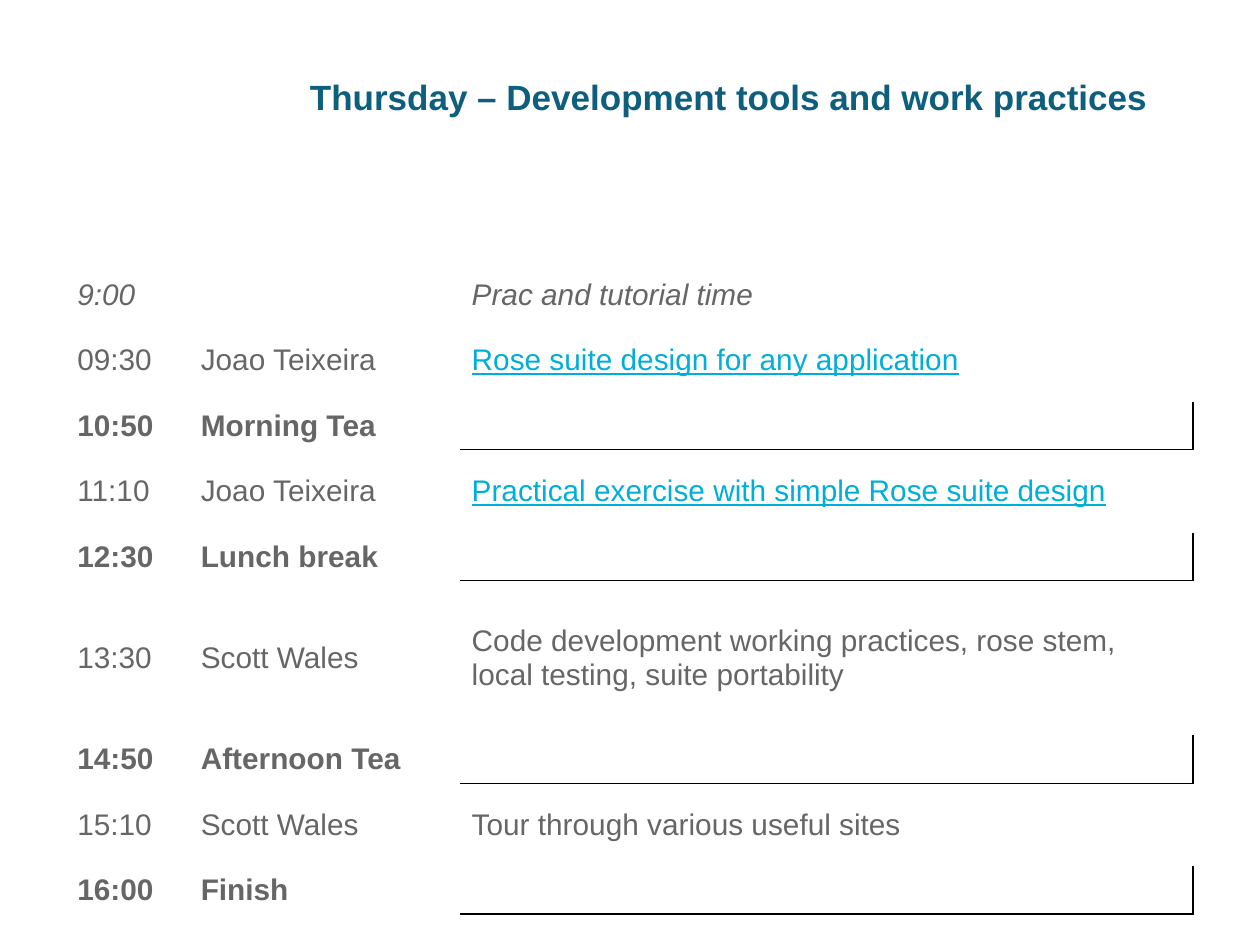
from lxml.etree import SubElement as Sub
from pptx import Presentation
from pptx.dml.color import RGBColor
from pptx.enum.text import MSO_ANCHOR as Anchor
from pptx.oxml.ns import qn
from pptx.util import Pt

TEAL = RGBColor(0x0E, 0x5F, 0x7E)
GREY = RGBColor(0x66, 0x66, 0x66)
CYAN = RGBColor(0x00, 0xAF, 0xD7)
WHITE = RGBColor(0xFF, 0xFF, 0xFF)
PLAIN = "{2D5ABB26-0587-4C30-8999-92F81FD0307C}"

ROWS = [
    ("9:00", "", "Prac and tutorial time", "early"),
    ("09:30", "Joao Teixeira", "Rose suite design for any application", "link"),
    ("10:50", "Morning Tea", "", "break"),
    ("11:10", "Joao Teixeira", "Practical exercise with simple Rose suite design", "link"),
    ("12:30", "Lunch break", "", "break"),
    ("13:30", "Scott Wales", "Code development working practices, rose stem, "
     "local testing, suite portability", "long"),
    ("14:50", "Afternoon Tea", "", "break"),
    ("15:10", "Scott Wales", "Tour through various useful sites", "talk"),
    ("16:00", "Finish", "", "break"),
]
HIGH = {"early": 27.4, "break": 27.4, "link": 47.4, "talk": 47.4, "long": 88.5}
LOOK = {"early": {"italic": True}, "break": {"bold": True}}


def write(frame, text, size, color, **look):
    run = frame.paragraphs[0].add_run()
    run.text = text
    run.font.color.rgb = color
    for key, val in {"name": "Arial", "size": Pt(size), **look}.items():
        setattr(run.font, key, val)


def edge(cell, side):
    line = Sub(cell._tc.get_or_add_tcPr(), qn("a:" + side), w=str(Pt(1)))
    fill = Sub(line, qn("a:solidFill"))
    Sub(fill, qn("a:srgbClr"), val="000000")


prs = Presentation()
prs.slide_width, prs.slide_height = Pt(720), Pt(540)
slide = prs.slides.add_slide(prs.slide_layouts[6])

title = slide.shapes.add_textbox(Pt(170), Pt(21.6), Pt(514), Pt(90)).text_frame
form = {"word_wrap": True, "vertical_anchor": Anchor.MIDDLE, "margin_bottom": Pt(26.6)}
for key, val in form.items():
    setattr(title, key, val)
write(title, "Thursday – Development tools and work practices", 20, TEAL, bold=True)

wide = [70.6, 154.8, 419]
tall = [HIGH[row[-1]] for row in ROWS]
grid = slide.shapes.add_table(
    len(ROWS), len(wide), Pt(37.4), Pt(154.8), Pt(sum(wide)), Pt(sum(tall))).table
grid.first_row = grid.horz_banding = False
grid._tbl.tblPr.find(qn("a:tableStyleId")).text = PLAIN
for col, size in zip(grid.columns, wide):
    col.width = Pt(size)

for r, (*texts, kind) in enumerate(ROWS):
    grid.rows[r].height = Pt(tall[r])
    for c, text in enumerate(texts):
        cell = grid.cell(r, c)
        if kind == "break" and c == 2:
            edge(cell, "lnR")
            edge(cell, "lnB")
        cell.fill.solid()
        cell.fill.fore_color.rgb = WHITE
        cell.vertical_anchor = Anchor.MIDDLE
        cell.margin_left = cell.margin_right = Pt(6.8)
        cell.margin_top = cell.margin_bottom = Pt(3.4 if text else 0)
        if text:
            link = kind == "link" and c == 2
            look = {"underline": True} if link else LOOK.get(kind, {})
            write(cell.text_frame, text, 17, CYAN if link else GREY, **look)

prs.save("out.pptx")
